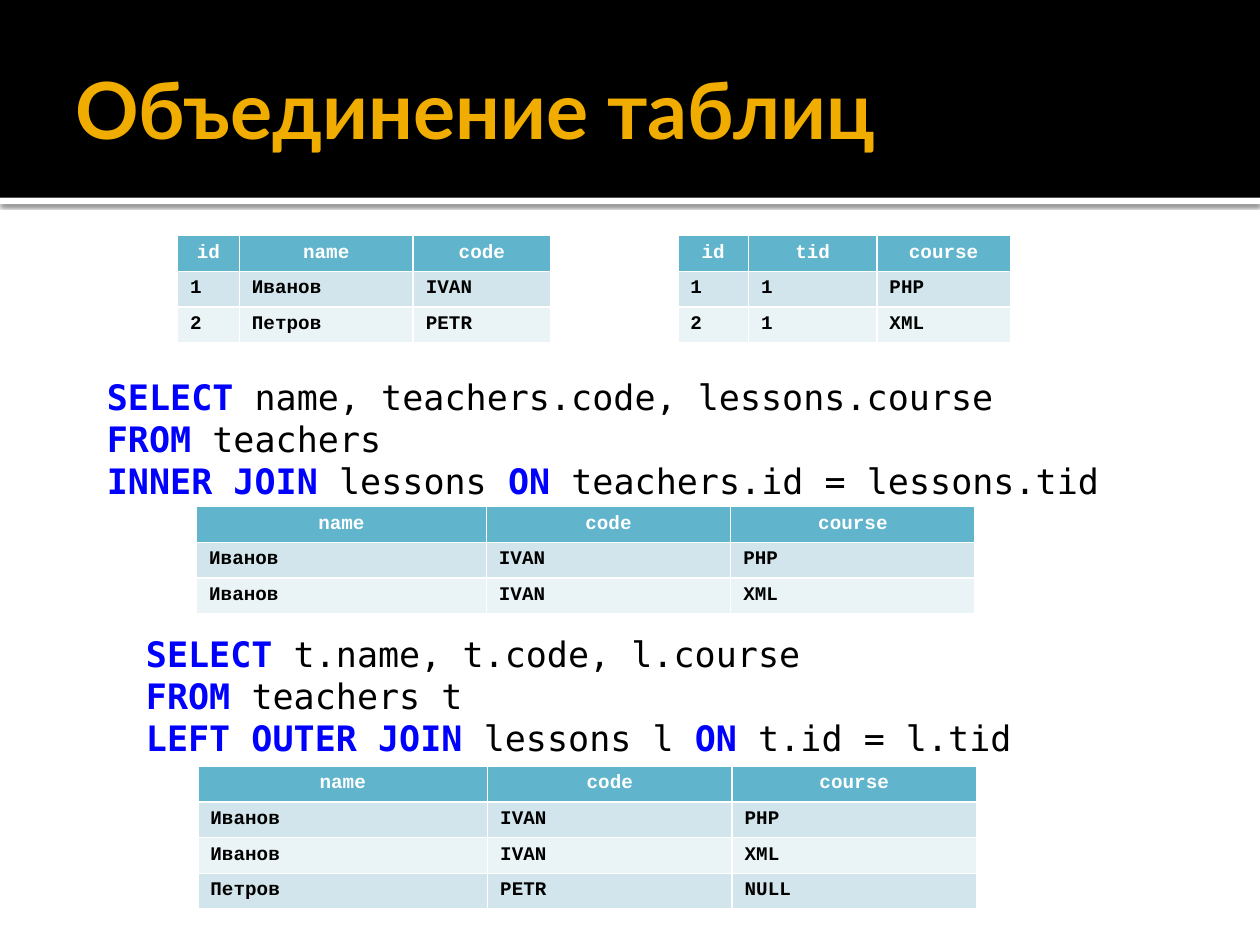
from itertools import groupby

from lxml.etree import SubElement
from pptx import Presentation
from pptx.dml.color import RGBColor
from pptx.enum.shapes import MSO_SHAPE
from pptx.enum.text import MSO_ANCHOR, PP_ALIGN
from pptx.oxml import parse_xml
from pptx.oxml.ns import nsdecls, qn
from pptx.util import Inches, Pt

BLACK = RGBColor(0x00, 0x00, 0x00)
WHITE = RGBColor(0xFF, 0xFF, 0xFF)
AMBER = RGBColor(0xF0, 0xAD, 0x00)
KEYWORD_BLUE = RGBColor(0x00, 0x00, 0xFF)
HEADER_TEAL = RGBColor(0x60, 0xB5, 0xCC)
BANDS = (RGBColor(0xD2, 0xE5, 0xEC), RGBColor(0xEA, 0xF3, 0xF6))

SLIDE_WIDTH, SLIDE_HEIGHT = 10, 7.5
BANNER_HEIGHT, RULE_HEIGHT = 1.57, 0.05
ROW_HEIGHT = 0.85 / 3

TITLE = "Объединение таблиц"

# Each query: position and size, then paragraphs made of lines.
QUERIES = [
    ((0.75, 2.93, 8.5, 1.11), [
        ["SELECT name, teachers.code, lessons.course"],
        ["FROM teachers", "INNER JOIN lessons ON teachers.id = lessons.tid"],
    ]),
    ((1.06, 4.97, 7.65, 1.11), [
        ["SELECT t.name, t.code, l.course"],
        ["FROM teachers t", "LEFT OUTER JOIN lessons l ON t.id = l.tid"],
    ]),
]

RESULT_COLUMNS = (2.3, 1.94, 1.94)
JOINED = [
    ("name", "code", "course"),
    ("Иванов", "IVAN", "PHP"),
    ("Иванов", "IVAN", "XML"),
]
# Each table: left, top, column widths, rows with the header first.
TABLES = [
    (1.41, 1.87, (0.49, 1.38, 1.09), [
        ("id", "name", "code"),
        ("1", "Иванов", "IVAN"),
        ("2", "Петров", "PETR"),
    ]),
    (5.38, 1.87, (0.56, 1.02, 1.06), [
        ("id", "tid", "course"),
        ("1", "1", "PHP"),
        ("2", "1", "XML"),
    ]),
    (1.56, 4.02, RESULT_COLUMNS, JOINED),
    (1.57, 6.08, RESULT_COLUMNS, JOINED + [("Петров", "PETR", "NULL")]),
]

TITLE_FONT = {"name": "Lato", "size": Pt(45), "bold": True}
CODE_FONT = {"name": "DejaVu Sans Mono", "size": Pt(20)}
CELL_FONT = {"name": "Courier New", "size": Pt(11), "bold": True}


def add_run(paragraph, text, font_format, color):
    run = paragraph.add_run()
    run.text = text
    for attribute, value in font_format.items():
        setattr(run.font, attribute, value)
    run.font.color.rgb = color


def add_bar(slide, top, height, color):
    bar = slide.shapes.add_shape(MSO_SHAPE.RECTANGLE, 0, Inches(top),
                                 Inches(SLIDE_WIDTH), Inches(height))
    bar.shadow.inherit = False
    bar.fill.solid()
    bar.fill.fore_color.rgb = color
    bar.line.fill.background()
    return bar


def add_banner(slide):
    rule = add_bar(slide, BANNER_HEIGHT, RULE_HEIGHT, WHITE)
    effects = rule._element.spPr.find(qn("a:effectLst"))
    effects.append(parse_xml(
        f'<a:outerShdw {nsdecls("a")} blurRad="{Pt(2.5)}" dist="{Pt(0.8)}" '
        'dir="5400000" algn="tl" rotWithShape="0"><a:srgbClr val="000000">'
        '<a:alpha val="60000"/></a:srgbClr></a:outerShdw>'))
    add_bar(slide, 0, BANNER_HEIGHT, BLACK)


def add_text_frame(slide, box):
    frame = slide.shapes.add_textbox(*map(Inches, box)).text_frame
    frame.word_wrap = True
    return frame


def add_title(slide):
    frame = add_text_frame(slide, (0.5, 0.17, 9, 1.37))
    frame.vertical_anchor = MSO_ANCHOR.MIDDLE
    frame.margin_right = Inches(0.05)
    add_run(frame.paragraphs[0], TITLE, TITLE_FONT, AMBER)


def add_code_line(paragraph, line):
    """Write one line of SQL, with its upper-case keywords bold and blue."""
    groups = [(is_keyword, " ".join(words))
              for is_keyword, words in groupby(line.split(), str.isupper)]
    for number, (is_keyword, text) in enumerate(groups, 1):
        gap = " " if number < len(groups) else ""
        add_run(paragraph, text + gap, {**CODE_FONT, "bold": is_keyword},
                KEYWORD_BLUE if is_keyword else BLACK)


def add_query(slide, box, paragraphs):
    frame = add_text_frame(slide, box)
    for index, lines in enumerate(paragraphs):
        paragraph = frame.add_paragraph() if index else frame.paragraphs[0]
        for number, line in enumerate(lines):
            if number:
                paragraph.add_line_break()
            add_code_line(paragraph, line)


def style_cell(cell, fill):
    cell.fill.solid()
    cell.fill.fore_color.rgb = fill
    properties = cell._tc.get_or_add_tcPr()
    for position, side in enumerate(("lnL", "lnR", "lnT", "lnB")):
        border = SubElement(properties, qn(f"a:{side}"), w=str(Pt(1)))
        solid = SubElement(border, qn("a:solidFill"))
        SubElement(solid, qn("a:srgbClr"), val=str(WHITE))
        properties.insert(position, border)


def add_data_table(slide, left, top, widths, rows):
    table = slide.shapes.add_table(
        len(rows), len(widths), Inches(left), Inches(top),
        Inches(sum(widths)), Inches(ROW_HEIGHT * len(rows))).table
    for column, width in zip(table.columns, widths):
        column.width = Inches(width)
    for row_index, row in enumerate(rows):
        is_header = row_index == 0
        for column_index, value in enumerate(row):
            cell = table.cell(row_index, column_index)
            style_cell(cell, HEADER_TEAL if is_header else BANDS[(row_index - 1) % 2])
            paragraph = cell.text_frame.paragraphs[0]
            paragraph.alignment = PP_ALIGN.CENTER if is_header else PP_ALIGN.LEFT
            add_run(paragraph, value, CELL_FONT, WHITE if is_header else BLACK)


def main():
    presentation = Presentation()
    presentation.slide_width = Inches(SLIDE_WIDTH)
    presentation.slide_height = Inches(SLIDE_HEIGHT)
    slide = presentation.slides.add_slide(presentation.slide_layouts[6])
    add_banner(slide)
    add_title(slide)
    for query in QUERIES:
        add_query(slide, *query)
    for data_table in TABLES:
        add_data_table(slide, *data_table)
    presentation.save("out.pptx")


if __name__ == "__main__":
    main()
